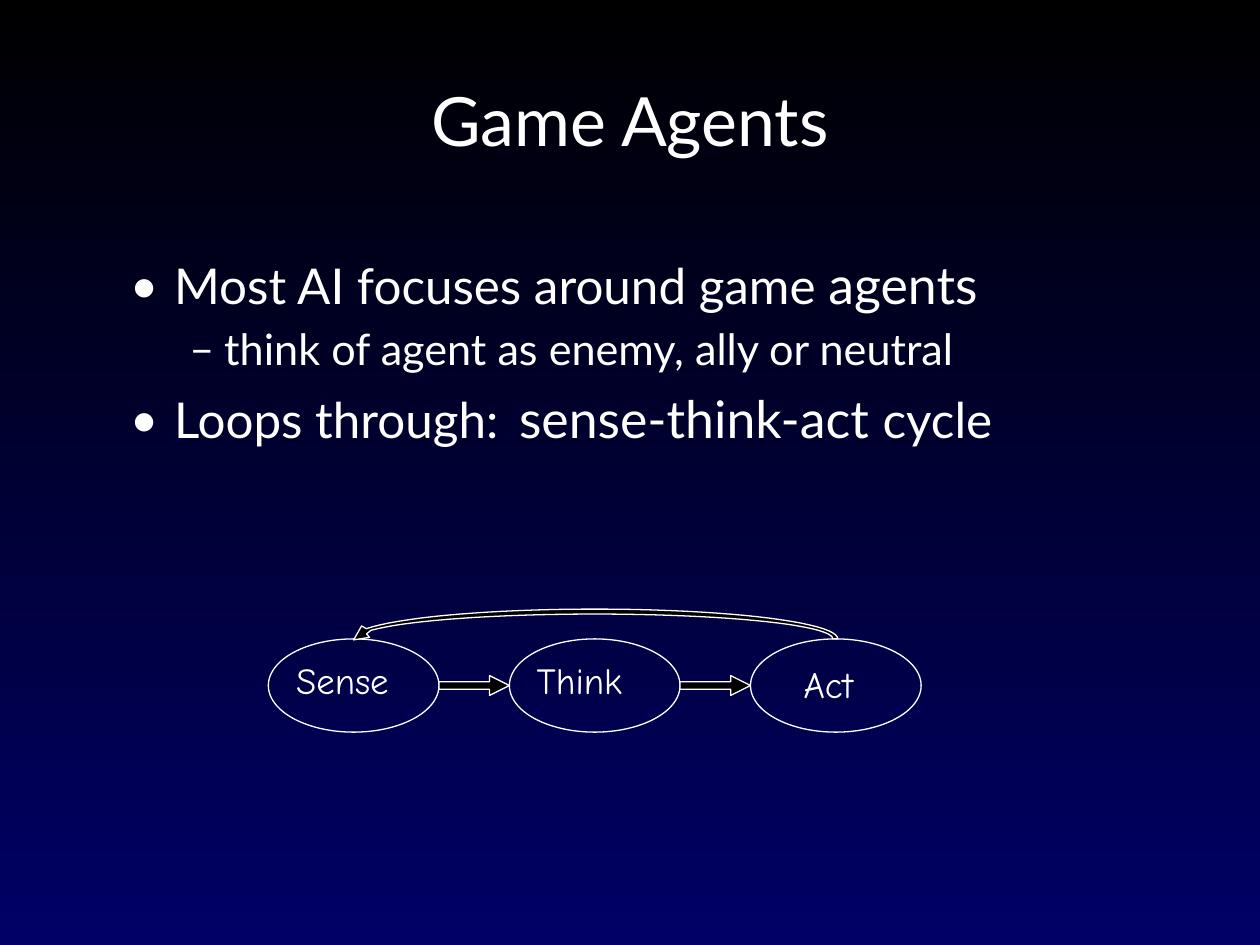
import math
from pptx import Presentation
from pptx import util as u
from pptx.dml.color import RGBColor
from pptx.enum import shapes, text
from pptx.oxml.ns import qn
from lxml import etree

WHITE = RGBColor(255, 255, 255)
BLACK = RGBColor(0, 0, 0)
NAVY = RGBColor(0, 0, 0x66)
STEPS = [("Sense", 5.97, 13.35), ("Think", 10.82, 13.35), ("Act", 16.2, 13.43)]
LEFT, TOP, WIDE, HIGH, PITCH = 5.41, 12.88, 3.44, 1.88, 4.86
LINES = [
    ("•", 0.89, 0.89, 31.8, 0,
     [("Most AI focuses around game ", 28.2, 0), ("agents", 29.6, 0)]),
    ("–", 1.9, 0.7, 30, 3.8,
     [("think of agent as enemy, ally or neutral", 24.7, 0)]),
    ("•", 0.89, 0.89, 31.8, 11,
     [("Loops through:", 28.2, 0), (" ", 28.2, 4.5),
      ("sense-think-act ", 29.6, 0), ("cycle", 28.2, 0)]),
]


def assign(item, values):
    for name, value in values.items():
        setattr(item, name, value)


def place(box, left, top, wide, high):
    assign(box, dict(left=u.Cm(left), top=u.Cm(top),
                     width=u.Cm(wide), height=u.Cm(high)))


def frame(box, wrap=True):
    assign(box.text_frame, dict(
        margin_left=0, margin_top=0, margin_right=0, margin_bottom=0,
        word_wrap=wrap, auto_size=text.MSO_AUTO_SIZE.NONE,
        vertical_anchor=text.MSO_ANCHOR.TOP))
    return box.text_frame.paragraphs[0]


def write(para, words, size, face="Lato", gap=0):
    run = para.add_run()
    run.text = words
    assign(run.font, dict(size=u.Pt(size), name=face))
    run.font.color.rgb = WHITE
    if gap:
        run.font._element.set("spc", str(round(gap * 100)))


def bullet(para, mark, margin, hang):
    props = para._p.get_or_add_pPr()
    props.set("marL", str(u.Cm(margin)))
    props.set("indent", str(-u.Cm(hang)))
    etree.SubElement(props, qn("a:buFont")).set("typeface", "Lato")
    etree.SubElement(props, qn("a:buChar")).set("char", mark)


def title(slide):
    box = slide.shapes.title
    place(box, 0, 1.8, 25.4, 1.42)
    para = frame(box)
    assign(para, dict(alignment=text.PP_ALIGN.CENTER, line_spacing=u.Pt(40.6)))
    write(para, "Game Agents", 38.8)


def body(slide):
    box = slide.placeholders[1]
    place(box, 2.62, 5.23, 19.5, 5)
    para = frame(box)
    for i, (mark, margin, hang, pitch, before, runs) in enumerate(LINES):
        if i:
            para = box.text_frame.add_paragraph()
        bullet(para, mark, margin, hang)
        assign(para, dict(line_spacing=u.Pt(pitch), space_before=u.Pt(before),
                          alignment=text.PP_ALIGN.LEFT))
        for words, size, gap in runs:
            write(para, words, size, gap=gap)


def paint(shape, fill=None):
    shape.shadow.inherit = False
    if fill is None:
        shape.fill.background()
    else:
        shape.fill.solid()
        shape.fill.fore_color.rgb = fill
    shape.line.color.rgb = WHITE
    shape.line.width = u.Pt(0.75)


def oval(slide, left):
    paint(slide.shapes.add_shape(shapes.MSO_SHAPE.OVAL, u.Cm(left), u.Cm(TOP),
                                 u.Cm(WIDE), u.Cm(HIGH)))


def arrow(slide, left):
    high = 0.4
    shape = slide.shapes.add_shape(
        shapes.MSO_SHAPE.RIGHT_ARROW, u.Cm(left), u.Cm(TOP + (HIGH - high) / 2),
        u.Cm(PITCH - WIDE), u.Cm(high))
    shape.adjustments[0] = 0.38
    shape.adjustments[1] = 1
    paint(shape, BLACK)


def arc(wide, high, angles):
    mid = LEFT + PITCH + WIDE / 2
    return [(mid + wide * math.cos(math.radians(a)),
             TOP - high * math.sin(math.radians(a))) for a in angles]


def loop(slide):
    head = [(7.29, 12.62), (7.13, 12.9), (7.45, 12.85), (7.39, 12.78)]
    points = (arc(4.9, 0.6, range(0, 161, 4)) + head
              + arc(4.8, 0.5, range(160, -1, -4)))
    points = [(u.Cm(x), u.Cm(y)) for x, y in points]
    path = slide.shapes.build_freeform(*points[0])
    path.add_line_segments(points[1:], close=True)
    paint(path.convert_to_shape(), BLACK)


def label(slide, words, left, top):
    box = slide.shapes.add_textbox(u.Cm(left), u.Cm(top), u.Cm(2.26), u.Cm(0.81))
    para = frame(box, False)
    para.line_spacing = u.Pt(22.9)
    write(para, words, 21, "Comic Neue")


def ground(slide):
    fill = slide.background.fill
    fill.gradient()
    fill.gradient_angle = 270
    for stop, color in zip(fill.gradient_stops, (BLACK, NAVY)):
        stop.color.rgb = color


def main():
    deck = Presentation()
    assign(deck, dict(slide_width=u.Cm(25.4), slide_height=u.Cm(19.05)))
    slide = deck.slides.add_slide(deck.slide_layouts[1])
    ground(slide)
    title(slide)
    body(slide)
    for i, step in enumerate(STEPS):
        left = LEFT + i * PITCH
        oval(slide, left)
        if i:
            arrow(slide, left - PITCH + WIDE)
        label(slide, *step)
    loop(slide)
    deck.save("out.pptx")


if __name__ == "__main__":
    main()
